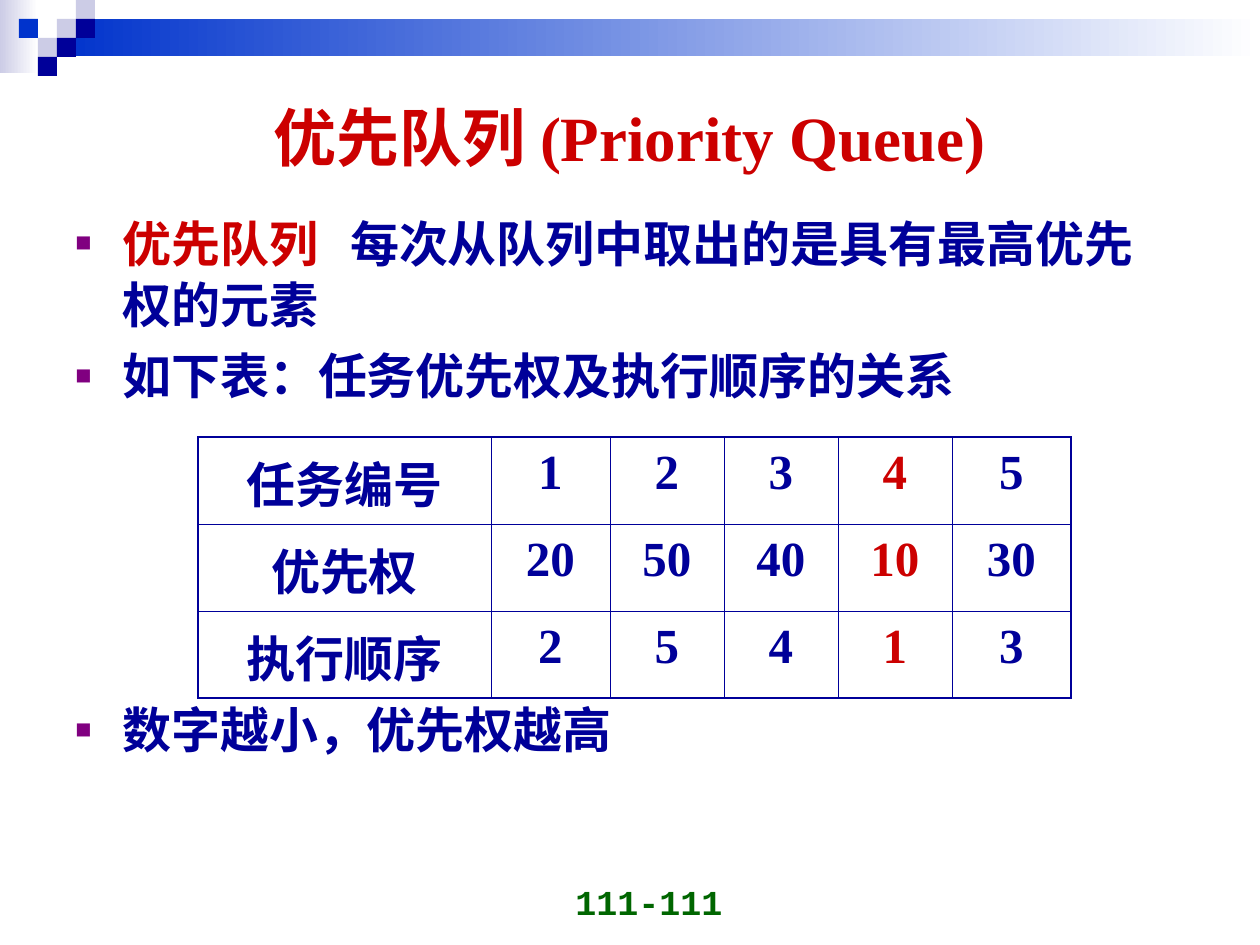
from lxml import etree
from pptx import Presentation
from pptx import util as u
from pptx.dml.color import RGBColor
from pptx.enum import shapes, text
from pptx.oxml.ns import qn

PX = 914400 // 126
WIDTH, HEIGHT = 1260, 945

NAVY = RGBColor(0x00, 0x00, 0x99)
BLUE = RGBColor(0x00, 0x33, 0xCC)
LILAC = RGBColor(0xCC, 0xCC, 0xE6)
WHITE = RGBColor(0xFF, 0xFF, 0xFF)
RED = RGBColor(0xCC, 0x00, 0x00)
GREEN = RGBColor(0x00, 0x66, 0x00)
PURPLE = RGBColor(0x80, 0x00, 0x80)

SERIF, SANS, MONO = "Times New Roman", "Arial", "Courier New"

# Content
TITLE = "优先队列 (Priority Queue)"
PAGE = "111-111"
# Each bullet: space before in points, then runs of (words, colour, letter spacing)
BULLETS = [
    (0, [("优先队列", RED, 0), (" ", RED, 12),
         ("每次从队列中取出的是具有最高优先权的元素", NAVY, 0)]),
    (5.2, [("如下表：任务优先权及执行顺序的关系", NAVY, 0)]),
    (167, [("数字越小，优先权越高", NAVY, 0)]),
]
TASKS = [
    ("任务编号", "1", "2", "3", "4", "5"),
    ("优先权", "20", "50", "40", "10", "30"),
    ("执行顺序", "2", "5", "4", "1", "3"),
]
HIGHLIGHT_COLUMN = 4
COLUMN_WIDTHS = [293, 119, 114, 114, 114, 119]
ROW_HEIGHT = 87

# Header ornament: gradient bands, then squares by (column, row, colour)
BANDS = [((0, 0, 38, 73), LILAC), ((57, 19, 1203, 37), BLUE)]
SQUARE = 19
SQUARES = [(3, 1, LILAC), (4, 0, LILAC), (4, 1, NAVY), (2, 2, LILAC),
           (1, 1, BLUE), (3, 2, NAVY), (2, 3, NAVY)]


def px(*lengths):
    return [u.Emu(length * PX) for length in lengths]


def add_run(paragraph, words, font, size, color):
    run = paragraph.add_run()
    run.text = words
    run.font.name = font
    run.font.size = u.Pt(size)
    run.font.bold = True
    run.font.color.rgb = color
    return run


def add_rect(slide, box):
    rect = slide.shapes.add_shape(shapes.MSO_SHAPE.RECTANGLE, *px(*box))
    rect.shadow.inherit = False
    rect.line.fill.background()
    return rect


def add_bullet(paragraph):
    props = paragraph._p.get_or_add_pPr()
    indent = px(47)[0]
    props.set("marL", str(indent))
    props.set("indent", str(-indent))
    color = etree.SubElement(props, qn("a:buClr"))
    etree.SubElement(color, qn("a:srgbClr"), val=str(PURPLE))
    etree.SubElement(props, qn("a:buSzPct"), val="55000")
    etree.SubElement(props, qn("a:buFont"), typeface=SANS)
    etree.SubElement(props, qn("a:buChar"), char="■")


def add_borders(cell, outer_sides):
    props = cell._tc.get_or_add_tcPr()
    for side in "LRTB":
        width = u.Pt(1.08 if side in outer_sides else 0.45)
        line = etree.SubElement(props, qn(f"a:ln{side}"), w=str(width))
        fill = etree.SubElement(line, qn("a:solidFill"))
        etree.SubElement(fill, qn("a:srgbClr"), val=str(NAVY))


def add_header(slide):
    for box, start in BANDS:
        fill = add_rect(slide, box).fill
        fill.gradient()
        fill.gradient_angle = 0
        for stop, position, color in zip(fill.gradient_stops, (0, 1), (start, WHITE)):
            stop.position = position
            stop.color.rgb = color
    for column, row, color in SQUARES:
        square = add_rect(slide, (column * SQUARE, row * SQUARE, SQUARE, SQUARE))
        square.fill.solid()
        square.fill.fore_color.rgb = color


def add_title(slide):
    title = slide.shapes.title
    title.left, title.top, title.width, title.height = px(63, 63, 1134, 146)
    title.text_frame.vertical_anchor = text.MSO_ANCHOR.MIDDLE
    heading = title.text_frame.paragraphs[0]
    heading.alignment = text.PP_ALIGN.CENTER
    add_run(heading, TITLE, SERIF, 36, RED)


def add_body(slide):
    body = slide.shapes.add_textbox(*px(63, 204, 1123, 655)).text_frame
    body.word_wrap = True
    for number, (space, runs) in enumerate(BULLETS):
        bullet = body.add_paragraph() if number else body.paragraphs[0]
        add_bullet(bullet)
        bullet.line_spacing = 1.05
        bullet.space_before = u.Pt(space)
        for words, color, spacing in runs:
            run = add_run(bullet, words, SANS, 28, color)
            if spacing:
                run.font._element.set("spc", str(spacing * 100))


def add_tasks(slide):
    last_row, last_column = len(TASKS) - 1, len(COLUMN_WIDTHS) - 1
    tasks = slide.shapes.add_table(
        len(TASKS), len(COLUMN_WIDTHS),
        *px(198, 437, sum(COLUMN_WIDTHS), ROW_HEIGHT * len(TASKS))).table
    tasks.first_row = tasks.horz_banding = False
    for column, width in zip(tasks.columns, COLUMN_WIDTHS):
        column.width = px(width)[0]
    for r, values in enumerate(TASKS):
        tasks.rows[r].height = px(ROW_HEIGHT)[0]
        for c, value in enumerate(values):
            cell = tasks.cell(r, c)
            outer = {"L": c == 0, "R": c == last_column,
                     "T": r == 0, "B": r == last_row}
            add_borders(cell, [side for side, edge in outer.items() if edge])
            cell.fill.background()
            entry = cell.text_frame.paragraphs[0]
            entry.alignment = text.PP_ALIGN.CENTER
            entry.line_spacing = 1.05
            add_run(entry, value, SERIF, 28, RED if c == HIGHLIGHT_COLUMN else NAVY)


def add_page_number(slide):
    footer = slide.shapes.add_textbox(*px(441, 866, 294, 63)).text_frame
    footer.word_wrap = True
    footer.vertical_anchor = text.MSO_ANCHOR.BOTTOM
    page = footer.paragraphs[0]
    page.alignment = text.PP_ALIGN.RIGHT
    add_run(page, PAGE, MONO, 20, GREEN)


def main():
    deck = Presentation()
    deck.slide_width, deck.slide_height = px(WIDTH, HEIGHT)
    slide = deck.slides.add_slide(deck.slide_layouts[5])
    for add_part in (add_header, add_page_number, add_title, add_body, add_tasks):
        add_part(slide)
    deck.save("out.pptx")


if __name__ == "__main__":
    main()
